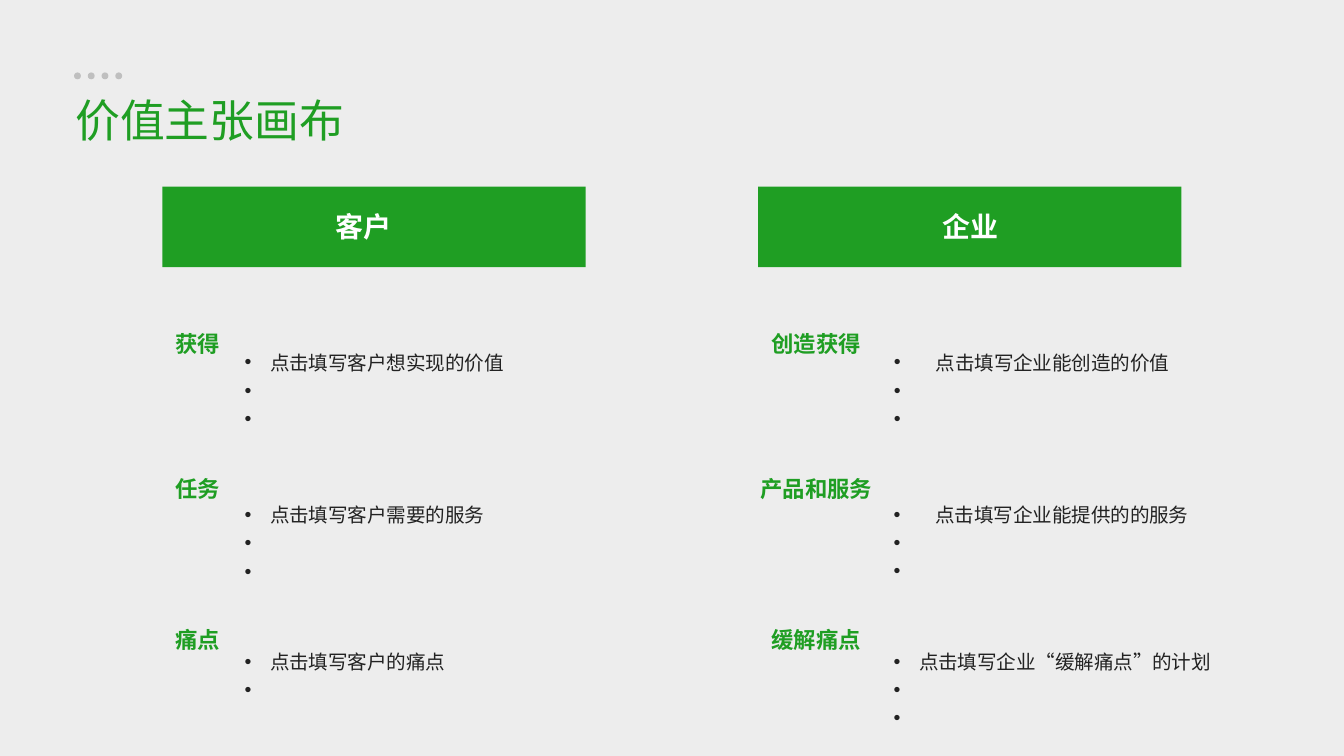
from pptx import Presentation
from pptx import util as u
from pptx.dml.color import RGBColor
from pptx.enum import shapes, text
from pptx.oxml.ns import qn
from lxml import etree

GREEN = RGBColor(0x1F, 0x9E, 0x23)
GREY = RGBColor(0xBF, 0xBF, 0xBF)
PAPER = RGBColor(0xED, 0xED, 0xED)
INK = RGBColor(0x22, 0x22, 0x22)
WHITE = RGBColor(0xFF, 0xFF, 0xFF)
FONT = "Noto Sans CJK SC"


class Canvas:
    def __init__(self, deck):
        self.slide = deck.slides.add_slide(deck.slide_layouts[4])
        fill = self.slide.background.fill
        fill.solid()
        fill.fore_color.rgb = PAPER
        self.pool = [h for h in self.slide.placeholders
                     if h.placeholder_format.idx in (1, 2, 3, 4)]

    def place(self, box, left, top, width, height):
        box.left, box.top = u.Cm(left), u.Cm(top)
        box.width, box.height = u.Cm(width), u.Cm(height)

    def style(self, para, size, color, bold=False):
        for run in para.runs:
            font = run.font
            font.size, font.bold, font.name = u.Pt(size), bold, FONT
            font.color.rgb = color
            etree.SubElement(run._r.rPr, qn("a:ea"), typeface=FONT)

    def frame(self, box, wrap=True):
        frame = box.text_frame
        frame.word_wrap = wrap
        frame.auto_size = text.MSO_AUTO_SIZE.SHAPE_TO_FIT_TEXT
        frame.vertical_anchor = text.MSO_ANCHOR.TOP
        return frame

    def title(self, words, *area):
        box = self.slide.shapes.title
        self.place(box, *area)
        frame = self.frame(box, False)
        frame.text = words
        para = frame.paragraphs[0]
        para.alignment = text.PP_ALIGN.LEFT
        self.style(para, 24, GREEN)

    def shape(self, kind, color, *area):
        item = self.slide.shapes.add_shape(kind, *map(u.Cm, area))
        item.shadow.inherit = False
        item.fill.solid()
        item.fill.fore_color.rgb = color
        item.line.fill.background()

    def label(self, words, *area):
        frame = self.frame(self.slide.shapes.add_textbox(*map(u.Cm, area)))
        frame.text = words
        self.style(frame.paragraphs[0], 12, GREEN, True)

    def header(self, words, *area):
        frame = self.frame(self.slide.shapes.add_textbox(*map(u.Cm, area)))
        frame.margin_left = frame.margin_right = 0
        frame.margin_top = frame.margin_bottom = 0
        frame.text = words
        para = frame.paragraphs[0]
        para.alignment = text.PP_ALIGN.CENTER
        self.style(para, 15, WHITE, True)

    def bullets(self, words, count, hang, *area):
        if self.pool:
            box = self.pool.pop(0)
            self.place(box, *area)
        else:
            box = self.slide.shapes.add_textbox(*map(u.Cm, area))
        frame = self.frame(box)
        frame.text = "\n".join([words] + [" "] * (count - 1))
        for row, para in enumerate(frame.paragraphs):
            para.line_spacing = 1.2
            para.space_before = u.Pt(0)
            props = para._p.get_or_add_pPr()
            depth = u.Cm(0.48 if row else hang)
            props.set("marL", str(depth))
            props.set("indent", str(-depth))
            etree.SubElement(props, qn("a:buFont"), typeface="Arial")
            etree.SubElement(props, qn("a:buChar"), char="•")
            self.style(para, 10.5, INK)


COLUMNS = [
    ("客户", 3.07, 5.72, 4.37, [
        ("获得", 3.07, "点击填写客户想实现的价值", 3, 0.48),
        ("任务", 3.07, "点击填写客户需要的服务", 3, 0.48),
        ("痛点", 3.07, "点击填写客户的痛点", 2, 0.48)]),
    ("企业", 14.33, 17.2, 16.64, [
        ("创造获得", 14.33, "点击填写企业能创造的价值", 3, 0.79),
        ("产品和服务", 14.12, "点击填写企业能提供的的服务", 3, 0.79),
        ("缓解痛点", 14.33, "点击填写企业“缓解痛点”的计划", 3, 0.48)]),
]
ROWS = [(6.12, 6.41), (8.86, 9.3), (11.71, 12.07)]


def main():
    deck = Presentation()
    deck.slide_width, deck.slide_height = u.Cm(25.4), u.Cm(14.29)
    page = Canvas(deck)
    for step in range(4):
        page.shape(shapes.MSO_SHAPE.OVAL, GREY, 1.4 + 0.26 * step, 1.37, 0.13, 0.13)
    page.title("价值主张画布", 1.17, 1.63, 5.59, 1.27)
    for head, left, mid, inset, items in COLUMNS:
        page.shape(shapes.MSO_SHAPE.RECTANGLE, GREEN, left, 3.53, 8, 1.52)
        page.header(head, mid, 3.96, 2.29, 0.64)
        for (top, low), (name, edge, words, count, hang) in zip(ROWS, items):
            page.label(name, edge, top, 0.5 + 0.45 * len(name), 0.76)
            page.bullets(words, count, hang, inset, low, 8.2, 0.25 + 0.53 * count)
    deck.save("out.pptx")


if __name__ == "__main__":
    main()
